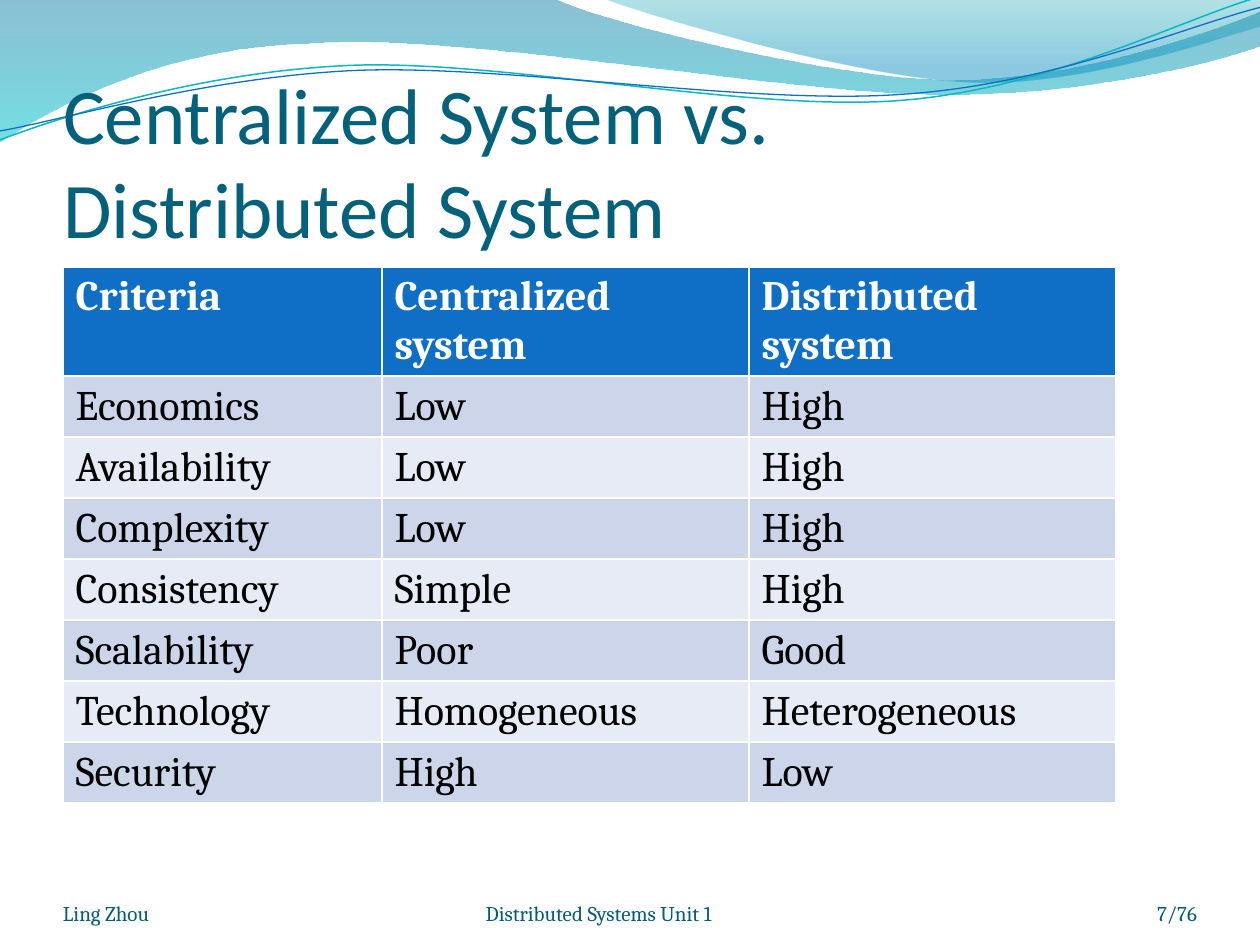
from lxml.etree import SubElement
from pptx import Presentation
from pptx.dml.color import RGBColor
from pptx.enum.text import MSO_ANCHOR as Anchor, MSO_AUTO_SIZE as AutoSize, PP_ALIGN as Align
from pptx.oxml.ns import qn
from pptx.util import Cm, Pt

WHITE = RGBColor(0xFF, 0xFF, 0xFF)
BLACK = RGBColor(0x00, 0x00, 0x00)
TITLE = RGBColor(0x04, 0x61, 0x7B)
FOOTER = RGBColor(0x04, 0x5D, 0x75)
BLUE = RGBColor(0x0F, 0x6F, 0xC6)
TEAL = RGBColor(0x0A, 0xB8, 0xBF)
BANDS = RGBColor(0xCC, 0xD5, 0xEA), RGBColor(0xE7, 0xEB, 0xF5)

# Paths in cm: a pair is a straight line, six numbers are a Bezier curve.
LEFT_WAVE = [
    (0, 0), (11.18, -0.03), (12.09, 0.43, 16.87, 1.6, 19.25, 1.6),
    (21.67, 1.6, 24.33, 0.66, 25.4, 0.23), (25.43, 0.91),
    (24.97, 1.12, 22.1, 1.93, 18.95, 1.9), (15.8, 1.9, 9.7, 0.71, 6.53, 0.86),
    (3.28, 0.91, 1.17, 2.11, -0.03, 2.87), (0, 0)]
RIGHT_WAVE = [
    (12.17, -0.03), (12.93, 0.28, 17.32, 1.57, 19.53, 1.65),
    (21.74, 1.75, 24.41, 0.81, 25.4, 0.53), (25.4, 0), (12.17, -0.03)]
TEAL_CURVE = [
    (0, 2.82), (1.22, 2.36, 4.01, 1.45, 7.04, 1.32),
    (10.03, 1.19, 15.06, 2.26, 18.11, 2.03), (21.16, 1.8, 23.83, 0.38, 25.35, -0.05)]
BLUE_CURVE = [
    (0, 2.64), (1.19, 2.44, 4.17, 1.55, 7.19, 1.42),
    (10.24, 1.3, 15.16, 2.13, 18.21, 1.9), (21.23, 1.7, 23.9, 0.53, 25.4, 0.15)]

ROWS = [
    ("Criteria", "Centralized system", "Distributed system"),
    ("Economics", "Low", "High"),
    ("Availability", "Low", "High"),
    ("Complexity", "Low", "High"),
    ("Consistency", "Simple", "High"),
    ("Scalability", "Poor", "Good"),
    ("Technology", "Homogeneous", "Heterogeneous"),
    ("Security", "High", "Low"),
]


class Deck:
    heading, body = "Calibri", "Cambria"

    def __init__(self):
        self.prs = Presentation()
        self.prs.slide_width, self.prs.slide_height = Cm(25.4), Cm(19.05)
        self.s = self.prs.slides.add_slide(self.prs.slide_layouts[5])

    def run(self, p, text, font, size, color, bold=False):
        r = p.add_run()
        r.text = text
        r.font.name, r.font.size, r.font.bold = font, Pt(size), bold
        r.font.color.rgb = color

    def outline(self, segments, close):
        """Build a freeform through the end points, then bend its curved segments."""
        start, *rest = segments
        builder = self.s.shapes.build_freeform(Cm(start[0]), Cm(start[1]))
        builder.add_line_segments([(Cm(seg[-2]), Cm(seg[-1])) for seg in rest], close=close)
        sp = builder.convert_to_shape()
        sp.shadow.inherit = False
        for line, seg in zip(list(sp.element.iter(qn("a:lnTo"))), rest):
            if len(seg) == 6:
                end = line[0]
                curve = line.getparent().makeelement(qn("a:cubicBezTo"))
                line.getparent().replace(line, curve)
                for x, y in (seg[:2], seg[2:4]):
                    SubElement(curve, qn("a:pt"), x=str(Cm(x) - sp.left), y=str(Cm(y) - sp.top))
                curve.append(end)
        return sp

    def wave(self, segments, stops):
        """Filled shape; each stop is (position, hex colour, opacity in percent)."""
        sp = self.outline(segments, True)
        sp.line.fill.background()
        sp.fill.gradient()
        sp.fill.gradient_angle = 270
        for stop, (pos, color, _) in zip(sp.fill.gradient_stops, stops):
            stop.position = pos
            stop.color.rgb = RGBColor.from_string(color)
        for clr, (_, _, opacity) in zip(sp.element.spPr.iter(qn("a:srgbClr")), stops):
            SubElement(clr, qn("a:alpha"), val=str(opacity * 1000))

    def curve(self, segments, color, width):
        sp = self.outline(segments, False)
        sp.fill.background()
        sp.line.color.rgb, sp.line.width = color, Pt(width)

    def frame(self, tf, top=0):
        tf.word_wrap, tf.auto_size = True, AutoSize.NONE
        tf.vertical_anchor = Anchor.BOTTOM
        tf.margin_left = tf.margin_right = tf.margin_bottom = 0
        tf.margin_top = Cm(top)

    def title(self, *lines):
        sp = self.s.shapes.title
        self.s.shapes.element.append(sp.element)  # in front of the waves
        sp.left, sp.top, sp.width, sp.height = Cm(1.27), Cm(1.95), Cm(22.86), Cm(3.18)
        self.frame(sp.text_frame, 0.13)
        p = sp.text_frame.paragraphs[0]
        p.alignment = Align.LEFT
        for i, line in enumerate(lines):
            if i:
                p.add_line_break()
            self.run(p, line, self.heading, 45, TITLE)

    def table(self, rows, left, top, widths, height, row_height):
        """Rows grow to fit their text; the default style gives the white borders."""
        shape = self.s.shapes.add_table(
            len(rows), len(widths), Cm(left), Cm(top), Cm(sum(widths)), Cm(height))
        for col, width in zip(shape.table.columns, widths):
            col.width = Cm(width)
        for i, (row, texts) in enumerate(zip(shape.table.rows, rows)):
            row.height = Cm(row_height)
            head = i == 0
            for cell, text in zip(row.cells, texts):
                cell.fill.solid()
                cell.fill.fore_color.rgb = BLUE if head else BANDS[(i - 1) % 2]
                self.run(cell.text_frame.paragraphs[0], text, self.body, 24,
                         WHITE if head else BLACK, head)
        shape.height = Cm(height)

    def footer(self, text, left, width, align):
        sp = self.s.shapes.add_textbox(Cm(left), Cm(17.65), Cm(width), Cm(1.02))
        self.frame(sp.text_frame)
        p = sp.text_frame.paragraphs[0]
        p.alignment = align
        self.run(p, text, self.body, 12, FOOTER)


def main():
    deck = Deck()
    deck.wave(LEFT_WAVE, [(0, "0074A1", 45), (1, "00C6CF", 55)])
    deck.wave(RIGHT_WAVE, [(0, "00A1A9", 30), (0.8, "008BBF", 45)])
    deck.curve(TEAL_CURVE, TEAL, 0.85)
    deck.curve(BLUE_CURVE, BLUE, 0.75)
    deck.title("Centralized System vs. ", "Distributed System")
    deck.table(ROWS, 1.27, 5.38, (6.43, 7.4, 7.4), 11.18, 1.04)
    deck.footer("Ling Zhou", 1.27, 5.92, Align.LEFT)
    deck.footer("Distributed Systems Unit 1", 7.41, 9.32, Align.CENTER)
    deck.footer("7/76", 22.02, 2.11, Align.RIGHT)
    deck.prs.save("out.pptx")


if __name__ == "__main__":
    main()
